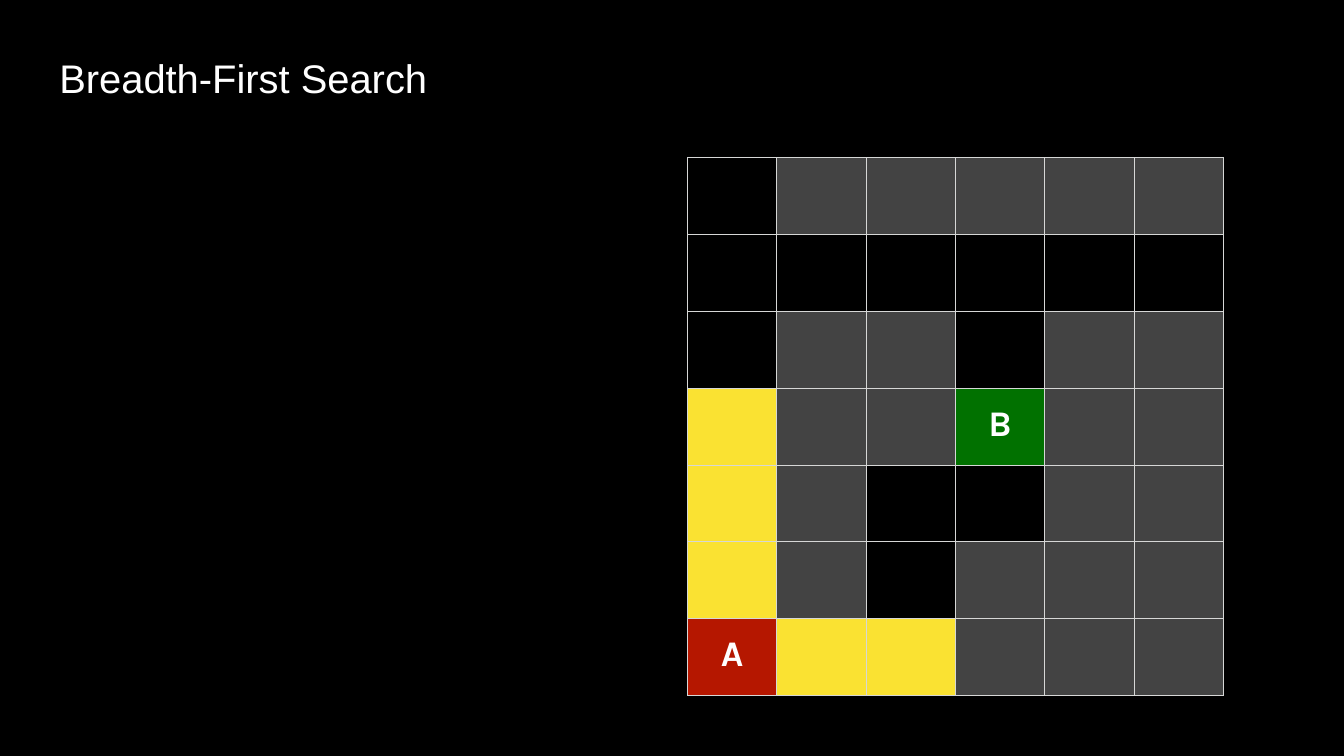
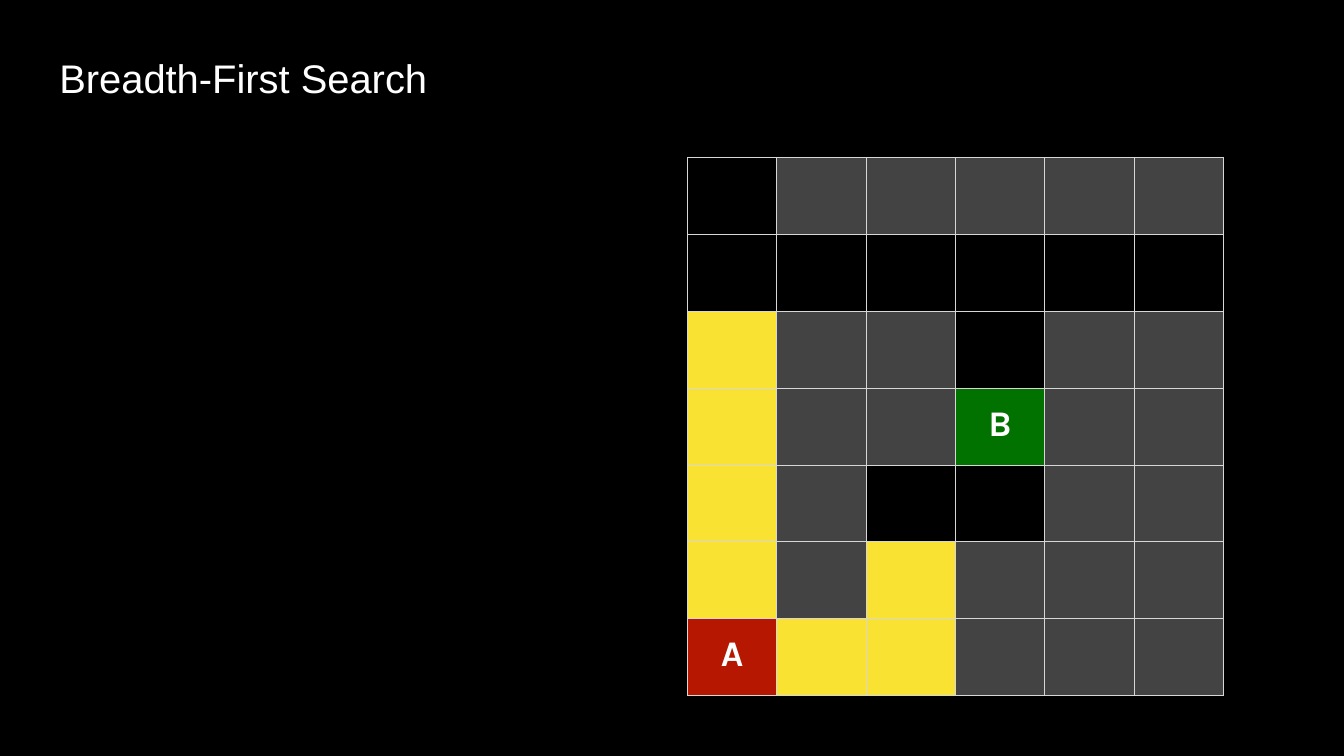
from collections import deque
from dataclasses import dataclass

from lxml.etree import SubElement
from pptx import Presentation
from pptx.dml.color import RGBColor as Color
from pptx.enum.text import MSO_ANCHOR as Anchor, MSO_AUTO_SIZE as AutoSize, PP_ALIGN as Align
from pptx.oxml.ns import qn
from pptx.util import Pt


@dataclass(frozen=True)
class Theme:
    background: str = "000000"
    text: str = "FFFFFF"
    wall: str = "434343"
    explored: str = "FAE232"
    start: str = "B51700"
    goal: str = "017100"
    grid_line: str = "D6D7D6"
    title_font: str = "Arial"
    label_font: str = "Karla"
    title_size: float = 47
    label_size: float = 42.5
    line_width: float = 1


THEME = Theme()
SLIDE_SIZE = (1583.28, 890.64)
TITLE_BOX = (48.96, 30.96, 930.96, 128.16)
MAZE_BOX = (810, 185.76, 631, 633.5)

# '#' is a wall, '.' is open, A is the start and B is the goal
MAZE = (
    ".#####",
    "......",
    ".##.##",
    ".##B##",
    ".#..##",
    ".#.###",
    "A..###",
)
CELL_FILLS = {"#": THEME.wall, "A": THEME.start, "B": THEME.goal}
EXPLORED_COUNTS = (5, 7)


def breadth_first_order(maze):
    """List the cells in the order the search reaches them, start first."""
    start = next((row, line.index("A")) for row, line in enumerate(maze) if "A" in line)
    order, queue = [start], deque([start])
    while queue:
        row, column = queue.popleft()
        for step_row, step_column in ((-1, 0), (0, 1), (1, 0), (0, -1)):
            cell = (row + step_row, column + step_column)
            inside = 0 <= cell[0] < len(maze) and 0 <= cell[1] < len(maze[0])
            if inside and maze[cell[0]][cell[1]] != "#" and cell not in order:
                order.append(cell)
                queue.append(cell)
    return order


def write_text(frame, text, *, font, size, bold=False, align=Align.LEFT):
    paragraph = frame.paragraphs[0]
    paragraph.text = text
    paragraph.alignment = align
    paragraph.font.name = font
    paragraph.font.size = Pt(size)
    paragraph.font.bold = bold
    paragraph.font.color.rgb = Color.from_string(THEME.text)


def add_borders(cell):
    properties = cell._tc.get_or_add_tcPr()
    for side in ("lnL", "lnR", "lnT", "lnB"):
        line = SubElement(properties, qn(f"a:{side}"), w=str(Pt(THEME.line_width)))
        fill = SubElement(line, qn("a:solidFill"))
        SubElement(fill, qn("a:srgbClr"), val=THEME.grid_line)


def place_backdrop(presentation, slide, size):
    """Draw the black backdrop and move it to the back of the slide master."""
    width, height = map(Pt, size)
    builder = slide.shapes.build_freeform(width, 0)
    builder.add_line_segments([(0, 0), (0, height), (width, height)], close=True)
    backdrop = builder.convert_to_shape()
    backdrop.shadow.inherit = False
    backdrop.fill.solid()
    backdrop.fill.fore_color.rgb = Color.from_string(THEME.background)
    backdrop.line.fill.background()
    master_shapes = presentation.slide_master.shapes
    master_shapes[0]._element.addprevious(backdrop._element)


def place_title(slide, text, box):
    title = slide.shapes.title
    title.left, title.top, title.width, title.height = map(Pt, box)
    frame = title.text_frame
    frame.word_wrap = True
    frame.auto_size = AutoSize.SHAPE_TO_FIT_TEXT
    frame.vertical_anchor = Anchor.TOP
    frame.margin_left, frame.margin_top = Pt(20.88), Pt(31.68)
    frame.margin_right = frame.margin_bottom = 0
    write_text(frame, text, font=THEME.title_font, size=THEME.title_size)


def format_cell(cell, mark, color):
    cell.margin_left = cell.margin_right = cell.margin_bottom = 0
    cell.margin_top = Pt(18)
    cell.vertical_anchor = Anchor.TOP
    add_borders(cell)
    if color:
        cell.fill.solid()
        cell.fill.fore_color.rgb = Color.from_string(color)
    else:
        cell.fill.background()
    if mark.isalpha():
        write_text(cell.text_frame, mark, font=THEME.label_font,
                   size=THEME.label_size, bold=True, align=Align.CENTER)


def place_maze(slide, maze, explored, box):
    width, height = box[2:]
    row_count, column_count = len(maze), len(maze[0])
    table = slide.shapes.add_table(row_count, column_count, *map(Pt, box)).table
    table.first_row = table.horz_banding = False
    for column in table.columns:
        column.width = Pt(width / column_count)
    for row in table.rows:
        row.height = Pt(height / row_count)
    for row, line in enumerate(maze):
        for column, mark in enumerate(line):
            color = THEME.explored if (row, column) in explored else CELL_FILLS.get(mark)
            format_cell(table.cell(row, column), mark, color)


def add_search_slide(presentation, explored):
    slide = presentation.slides.add_slide(presentation.slide_layouts[5])
    place_title(slide, "Breadth-First Search", TITLE_BOX)
    place_maze(slide, MAZE, explored, MAZE_BOX)


def main():
    presentation = Presentation()
    presentation.slide_width, presentation.slide_height = map(Pt, SLIDE_SIZE)

    # One slide for each stage of the search
    reached = breadth_first_order(MAZE)[1:]
    for count in EXPLORED_COUNTS:
        add_search_slide(presentation, reached[:count])

    # Shared backdrop
    place_backdrop(presentation, presentation.slides[0], SLIDE_SIZE)
    presentation.save("out.pptx")


if __name__ == "__main__":
    main()
